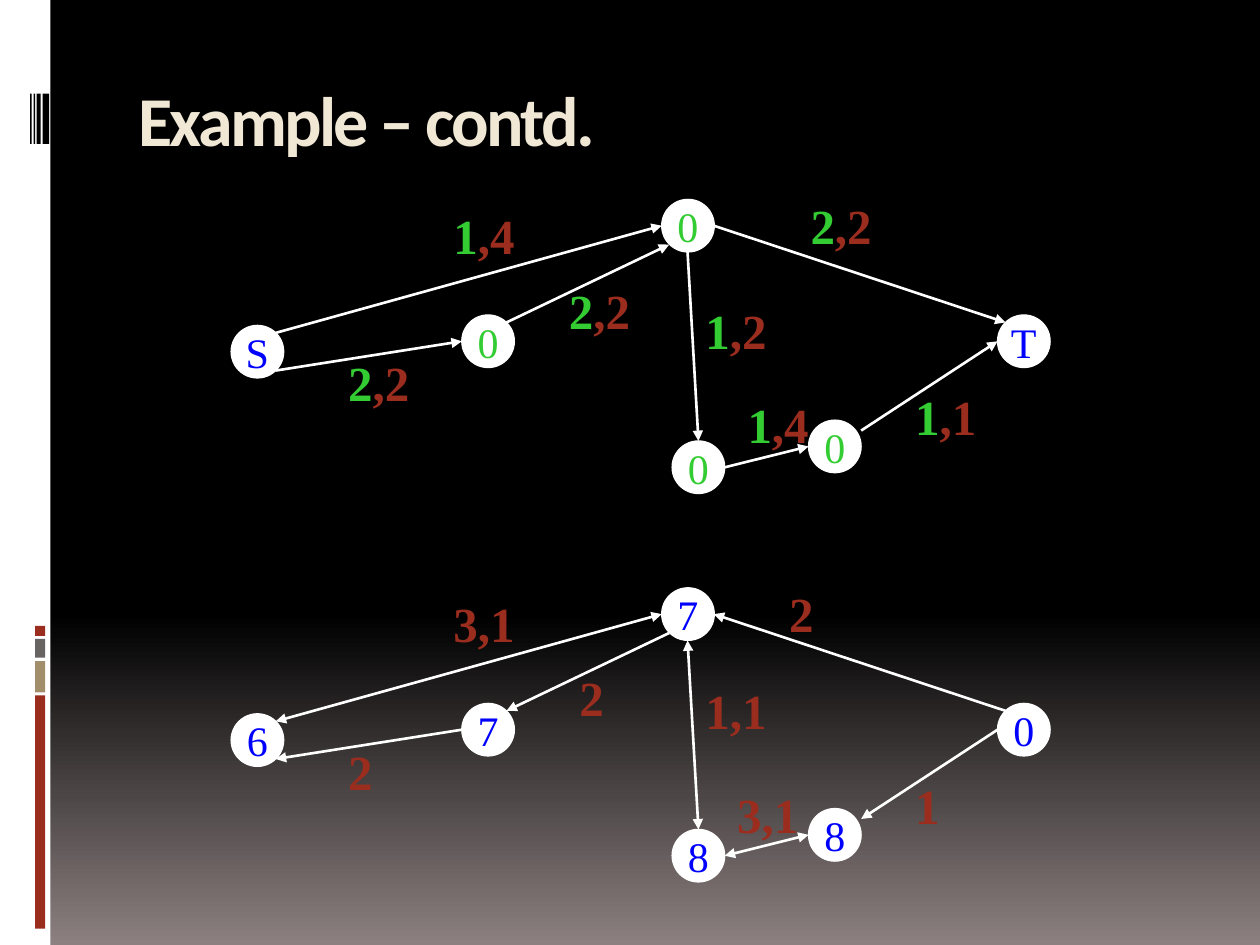
"""Build a slide with a flow network and its residual graph."""
from typing import NamedTuple

from lxml import etree
from pptx import Presentation
from pptx import util as u
from pptx.dml.color import RGBColor
from pptx.enum import shapes, text
from pptx.oxml.ns import qn

WHITE = RGBColor(0xFF, 0xFF, 0xFF)
BLACK = RGBColor(0x00, 0x00, 0x00)
MAUVE = RGBColor(0x8C, 0x80, 0x80)
RUST = RGBColor(0x9B, 0x2D, 0x1F)
SAND = RGBColor(0xA2, 0x8E, 0x6A)
GREY = RGBColor(0x69, 0x64, 0x64)
CREAM = RGBColor(0xF0, 0xE8, 0xD5)
GREEN = RGBColor(0x33, 0xCC, 0x33)
BLUE = RGBColor(0x00, 0x00, 0xFF)
SERIF = "Times New Roman"
NODE_SIZE = 1.06
RESIDUAL_DROP = 7.83


class Bar(NamedTuple):
    left: float
    top: float
    width: float
    height: float
    color: RGBColor


class Edge(NamedTuple):
    x1: float
    y1: float
    x2: float
    y2: float


class Label(NamedTuple):
    left: float
    top: float
    width: float
    flow: str
    rest: str


class Network(NamedTuple):
    drop: float
    nodes: list[tuple[str, RGBColor]]
    start_arrows: list[bool]
    end_arrows: list[bool]
    labels: list[Label]


BARS = [
    Bar(0, 0, 1.02, 19.05, WHITE),
    Bar(0.71, 14.02, 0.2, 4.7, RUST),
    Bar(0.71, 13.33, 0.2, 0.63, SAND),
    Bar(0.71, 12.88, 0.2, 0.38, GREY),
    Bar(0.71, 12.62, 0.2, 0.2, RUST),
    *[Bar(left, 1.89, width, 1.01, BLACK)
      for left, width in ((0.86, 0.13), (0.74, 0.08), (0.68, 0.03), (0.61, 0.03))],
]

NODE_SPOTS = [(4.66, 6.56), (9.31, 6.35), (13.34, 4.02),
              (13.55, 8.89), (16.3, 8.47), (20.11, 6.35)]

EDGES = [
    Edge(5.56, 6.71, 13.34, 4.55),
    Edge(13.86, 5.08, 14.08, 8.89),
    Edge(14.61, 9.42, 16.3, 9),
    Edge(5.56, 7.47, 9.31, 6.88),
    Edge(10.21, 6.5, 13.49, 4.93),
    Edge(14.39, 4.55, 20.27, 6.5),
    Edge(17.36, 8.68, 20.11, 6.88),
]

FLOW = Network(
    0,
    [("S", BLUE), *[("0", GREEN)] * 4, ("T", BLUE)],
    [False] * 7,
    [True] * 7,
    [
        Label(8.89, 4.02, 1.91, "1", ",4"),
        Label(18.2, 7.67, 2.12, "1", ",1"),
        Label(6.77, 6.99, 1.91, "2", ",2"),
        Label(14.82, 7.83, 2.12, "1", ",4"),
        Label(11.22, 5.53, 1.91, "2", ",2"),
        Label(16.09, 3.81, 1.91, "2", ",2"),
        Label(13.97, 5.93, 1.91, "1", ",2"),
    ],
)

RESIDUAL = Network(
    RESIDUAL_DROP,
    [(distance, BLUE) for distance in "677880"],
    [True] * 7,
    [True] * 3 + [False] * 4,
    [
        Label(8.89, 4.02, 1.91, "", "3,1"),
        Label(18.2, 7.67, 1.06, "", "1"),
        Label(15.66, 3.81, 1.06, "", "2"),
        Label(6.77, 6.99, 1.06, "", "2"),
        Label(13.97, 5.76, 1.91, "", "1,1"),
        Label(14.61, 7.87, 1.91, "", "3,1"),
        Label(11.43, 5.5, 1.06, "", "2"),
    ],
)


def add_run(paragraph, words: str, font: str, size: float, color: RGBColor, bold: bool):
    run = paragraph.add_run()
    run.text = words
    run.font.name = font
    run.font.size = u.Pt(size)
    run.font.bold = bold
    run.font.color.rgb = color
    return run


def paint_background(slide) -> None:
    fill = slide.background.fill
    fill.gradient()
    fill.gradient_angle = 270
    for stop, position, color in zip(fill.gradient_stops, (0.65, 1), (BLACK, MAUVE)):
        stop.position = position
        stop.color.rgb = color


def draw_bar(slide, bar: Bar) -> None:
    strip = slide.shapes.add_shape(
        shapes.MSO_SHAPE.RECTANGLE, *[u.Cm(length) for length in bar[:4]])
    strip.shadow.inherit = False
    strip.fill.solid()
    strip.fill.fore_color.rgb = bar.color
    strip.line.fill.background()


def draw_title(slide, words: str) -> None:
    title = slide.shapes.add_textbox(u.Cm(2.54), u.Cm(1.42), u.Cm(21.59), u.Cm(2.54))
    frame = title.text_frame
    frame.word_wrap = True
    run = add_run(frame.paragraphs[0], words, "Calibri", 40, CREAM, True)
    run.font._element.set("spc", "-150")


def draw_node(group, left: float, top: float, words: str, color: RGBColor) -> None:
    node = group.shapes.add_shape(
        shapes.MSO_SHAPE.OVAL, u.Cm(left), u.Cm(top), u.Cm(NODE_SIZE), u.Cm(NODE_SIZE))
    node.shadow.inherit = False
    node.fill.solid()
    node.fill.fore_color.rgb = WHITE
    node.line.color.rgb = WHITE
    node.line.width = u.Pt(0.75)
    frame = node.text_frame
    frame.word_wrap = False
    frame.vertical_anchor = text.MSO_ANCHOR.MIDDLE
    frame.paragraphs[0].alignment = text.PP_ALIGN.CENTER
    add_run(frame.paragraphs[0], words, SERIF, 24, color, False)


def draw_edge(group, edge: Edge, drop: float, at_start: bool, at_end: bool) -> None:
    arrow = group.shapes.add_connector(
        shapes.MSO_CONNECTOR.STRAIGHT, u.Cm(edge.x1), u.Cm(edge.y1 + drop),
        u.Cm(edge.x2), u.Cm(edge.y2 + drop))
    arrow.line.color.rgb = WHITE
    arrow.line.width = u.Pt(1.5)
    outline = arrow.line._get_or_add_ln()
    for tag, shown in (("a:headEnd", at_start), ("a:tailEnd", at_end)):
        if shown:
            etree.SubElement(outline, qn(tag), type="triangle")
    etree.SubElement(arrow._element.spPr, qn("a:effectLst"))


def draw_label(group, label: Label, drop: float) -> None:
    caption = group.shapes.add_textbox(
        u.Cm(label.left), u.Cm(label.top + drop), u.Cm(label.width), u.Cm(1.45))
    frame = caption.text_frame
    frame.word_wrap = True
    for words, color in ((label.flow, GREEN), (label.rest, RUST)):
        if words:
            add_run(frame.paragraphs[0], words, SERIF, 28, color, True)


def draw_network(slide, network: Network) -> None:
    group = slide.shapes.add_group_shape()
    for (left, top), (words, color) in zip(NODE_SPOTS, network.nodes):
        draw_node(group, left, top + network.drop, words, color)
    for edge, at_start, at_end in zip(EDGES, network.start_arrows, network.end_arrows):
        draw_edge(group, edge, network.drop, at_start, at_end)
    for label in network.labels:
        draw_label(group, label, network.drop)


def main() -> None:
    deck = Presentation()
    deck.slide_width, deck.slide_height = u.Cm(25.4), u.Cm(19.05)
    slide = deck.slides.add_slide(deck.slide_layouts[6])
    paint_background(slide)
    for bar in BARS:
        draw_bar(slide, bar)
    draw_title(slide, "Example – contd.")
    for network in (RESIDUAL, FLOW):
        draw_network(slide, network)
    deck.save("out.pptx")


if __name__ == "__main__":
    main()
